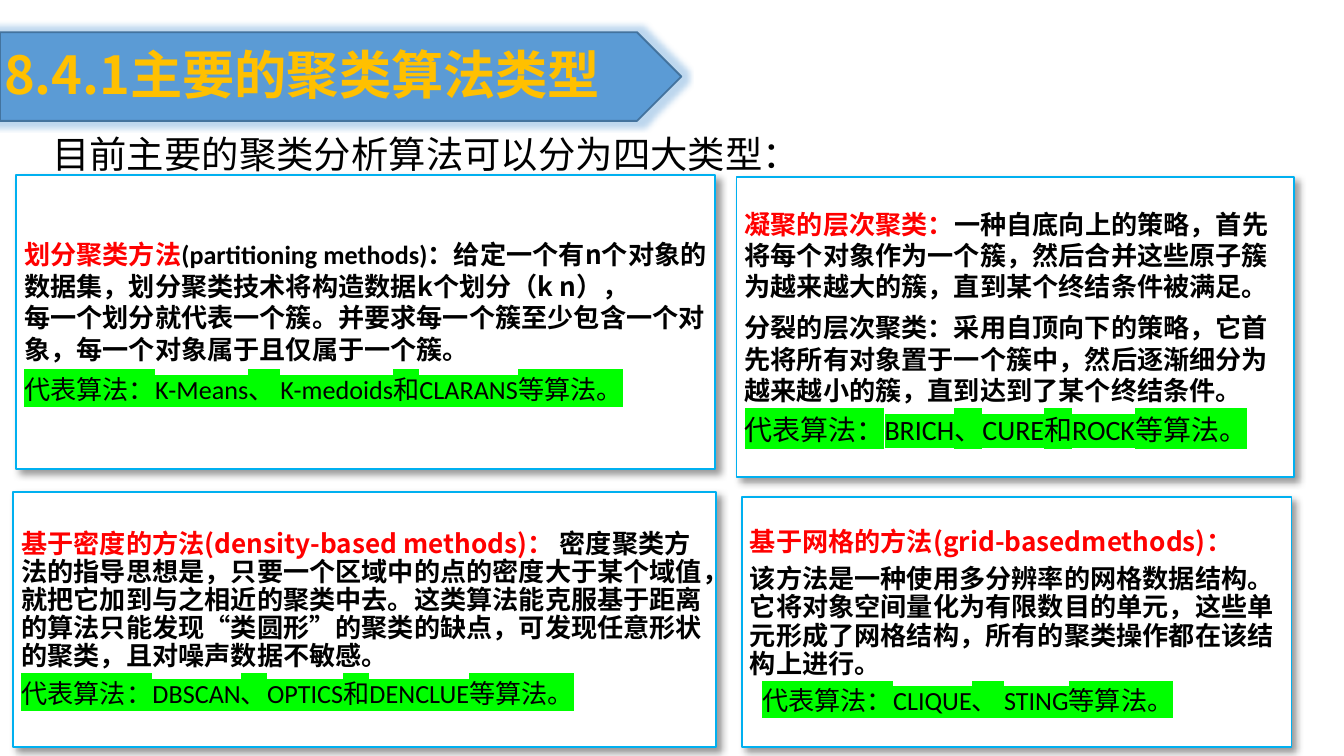
from lxml.etree import SubElement
from pptx import Presentation
from pptx.dml.color import RGBColor
from pptx.enum.shapes import MSO_SHAPE
from pptx.enum.text import MSO_ANCHOR, MSO_AUTO_SIZE, PP_ALIGN
from pptx.oxml import parse_xml
from pptx.oxml.ns import nsdecls, qn
from pptx.util import Inches, Pt

WHITE = RGBColor(0xFF, 0xFF, 0xFF)
BLACK = RGBColor(0, 0, 0)
RED = RGBColor(0xFF, 0, 0)
GOLD = RGBColor(0xFF, 0xC0, 0)
GREEN = RGBColor(0, 0xFF, 0)
BANNER_BLUE = RGBColor(0x5B, 0x9B, 0xD5)
BANNER_EDGE = RGBColor(0x43, 0x73, 0x9E)
CARD_EDGE = RGBColor(0, 0xB0, 0xF0)

CJK, LATIN = "Noto Sans CJK SC", "Calibri"

# Run styles: font, colour, bold, highlight
HEAD = (CJK, RED, True, None)
BODY = (CJK, BLACK, True, None)
BODY_LATIN = (LATIN, BLACK, True, None)
EXAMPLES = (LATIN, BLACK, False, GREEN)

# Each card: box, line pitch, size of the examples line and its indent, paragraphs
CARDS = [
    ((0.12, 1.3, 5.2, 2.19), 16.8, 14, 0, [
        [("划分聚类方法", HEAD), ("(partitioning methods)：", BODY_LATIN),
         ("给定一个有n个对象的数据集，划分聚类技术将构造数据k个划分（k n），\n"
          "每一个划分就代表一个簇。并要求每一个簇至少包含一个对\n象，"
          "每一个对象属于且仅属于一个簇。", BODY)],
        [("代表算法：K-Means、 K-medoids和CLARANS等算法。", EXAMPLES)]]),
    ((5.48, 1.32, 4.15, 2.23), 16.8, 15, 0, [
        [("凝聚的层次聚类：", HEAD),
         ("一种自底向上的策略，首先将每个对象作为一个簇，然后合并这些原子簇"
          "为越来越大的簇，直到某个终结条件被满足。", BODY)],
        [("分裂的层次聚类：采用自顶向下的策略，它首先将所有对象置于一个簇中，"
          "然后逐渐细分为越来越小的簇，直到达到了某个终结条件。", BODY)],
        [("代表算法：BRICH、CURE和ROCK等算法。", EXAMPLES)]]),
    ((0.1, 3.66, 5.23, 1.9), 15.1, 14, 0, [
        [("基于密度的方法(density-based methods)： ", HEAD),
         ("密度聚类方法的指导思想是，只要一个区域中的点的密度大于某个域值，"
          "就把它加到与之相近的聚类中去。这类算法能克服基于距离的算法只能发现"
          "“类圆形”的聚类的缺点，可发现任意形状的聚类，且对噪声数据不敏感。", BODY)],
        [("代表算法：DBSCAN、OPTICS和DENCLUE等算法。", EXAMPLES)]]),
    ((5.52, 3.7, 4.09, 1.86), 15.1, 14, 0.09, [
        [("基于网格的方法(grid-basedmethods)：", HEAD)],
        [("该方法是一种使用多分辨率的网格数据结构。它将对象空间量化为有限数目的"
          "单元，这些单元形成了网格结构，所有的聚类操作都在该结构上进行。", BODY)],
        [("代表算法：CLIQUE、 STING等算法。", EXAMPLES)]]),
]


def place(shape, box):
    shape.left, shape.top, shape.width, shape.height = map(Inches, box)


def style_run(run, style, size):
    face, colour, bold, highlight = style
    font = run.font
    font.size, font.bold = Pt(size), bold
    font.color.rgb = colour
    properties = font._element
    if highlight is not None:
        mark = SubElement(properties, qn("a:highlight"))
        SubElement(mark, qn("a:srgbClr"), val=str(highlight))
    font.name = face
    SubElement(properties, qn("a:ea"), typeface=CJK)


def set_effect(shape, effect):
    shape.shadow.inherit = False
    shape._element.spPr.find(qn("a:effectLst")).append(
        parse_xml(effect.replace(" ", f" {nsdecls('a')} ", 1)))


def add_panel(slide, preset, box, fill, edge, effect):
    panel = slide.shapes.add_shape(preset, *map(Inches, box))
    panel.fill.solid()
    panel.fill.fore_color.rgb = fill
    panel.line.color.rgb = edge
    panel.line.width = Pt(1)
    set_effect(panel, effect)
    return panel


def add_banner(slide, box):
    left, top, width, height = box
    arrow = add_panel(
        slide, MSO_SHAPE.PENTAGON, box, BANNER_BLUE, BANNER_EDGE,
        f'<a:glow rad="{Pt(6)}"><a:srgbClr val="{BANNER_BLUE}">'
        '<a:alpha val="40000"/></a:srgbClr></a:glow>')

    # Title sits in front of the arrow
    title = slide.shapes.title
    arrow._element.addnext(title._element)
    place(title, (left - 0.07, top + 0.02, width - 0.26, 0.57))
    frame = title.text_frame
    frame.text = "8.4.1主要的聚类算法类型"
    frame.auto_size = MSO_AUTO_SIZE.NONE
    frame.vertical_anchor = MSO_ANCHOR.MIDDLE
    frame.paragraphs[0].alignment = PP_ALIGN.LEFT
    style_run(frame.paragraphs[0].runs[0], (CJK, GOLD, True, None), 28)


def add_lead(slide, box):
    lead = slide.shapes.add_textbox(*map(Inches, box))
    frame = lead.text_frame
    frame.text = "目前主要的聚类分析算法可以分为四大类型："
    frame.word_wrap = False
    frame.paragraphs[0].line_spacing = 1.3
    style_run(frame.paragraphs[0].runs[0], (CJK, BLACK, False, None), 20)


def add_card(slide, box, pitch, examples_size, indent, paragraphs):
    card = add_panel(
        slide, MSO_SHAPE.RECTANGLE, box, WHITE, CARD_EDGE,
        f'<a:outerShdw blurRad="{Pt(4)}" dist="{Pt(3)}" dir="2700000">'
        '<a:srgbClr val="000000"><a:alpha val="40000"/></a:srgbClr></a:outerShdw>')
    frame = card.text_frame
    frame.word_wrap = True
    frame.vertical_anchor = MSO_ANCHOR.MIDDLE
    frame.margin_left = frame.margin_right = Inches(0.06)
    frame.margin_top = frame.margin_bottom = Inches(0.06)
    for index, parts in enumerate(paragraphs):
        paragraph = frame.paragraphs[0] if index == 0 else frame.add_paragraph()
        paragraph.alignment = PP_ALIGN.LEFT
        paragraph.space_after = Pt(5)
        is_examples = parts[0][1] is EXAMPLES
        paragraph.line_spacing = Pt(pitch)
        if is_examples and indent:
            paragraph._p.get_or_add_pPr().set("marL", str(Inches(indent)))
        for text, style in parts:
            for number, line in enumerate(text.split("\n")):
                if number:
                    paragraph.add_line_break()
                run = paragraph.add_run()
                run.text = line
                style_run(run, style, examples_size if is_examples else 14)


def main():
    presentation = Presentation()
    # 16:9 page
    presentation.slide_width = Inches(10)
    presentation.slide_height = Pt(405)
    slide = presentation.slides.add_slide(presentation.slide_layouts[5])
    add_banner(slide, (0, 0.24, 5.07, 0.66))
    for card in CARDS:
        add_card(slide, *card)
    add_lead(slide, (0.29, 0.83, 5.76, 0.54))
    presentation.save("out.pptx")


if __name__ == "__main__":
    main()
